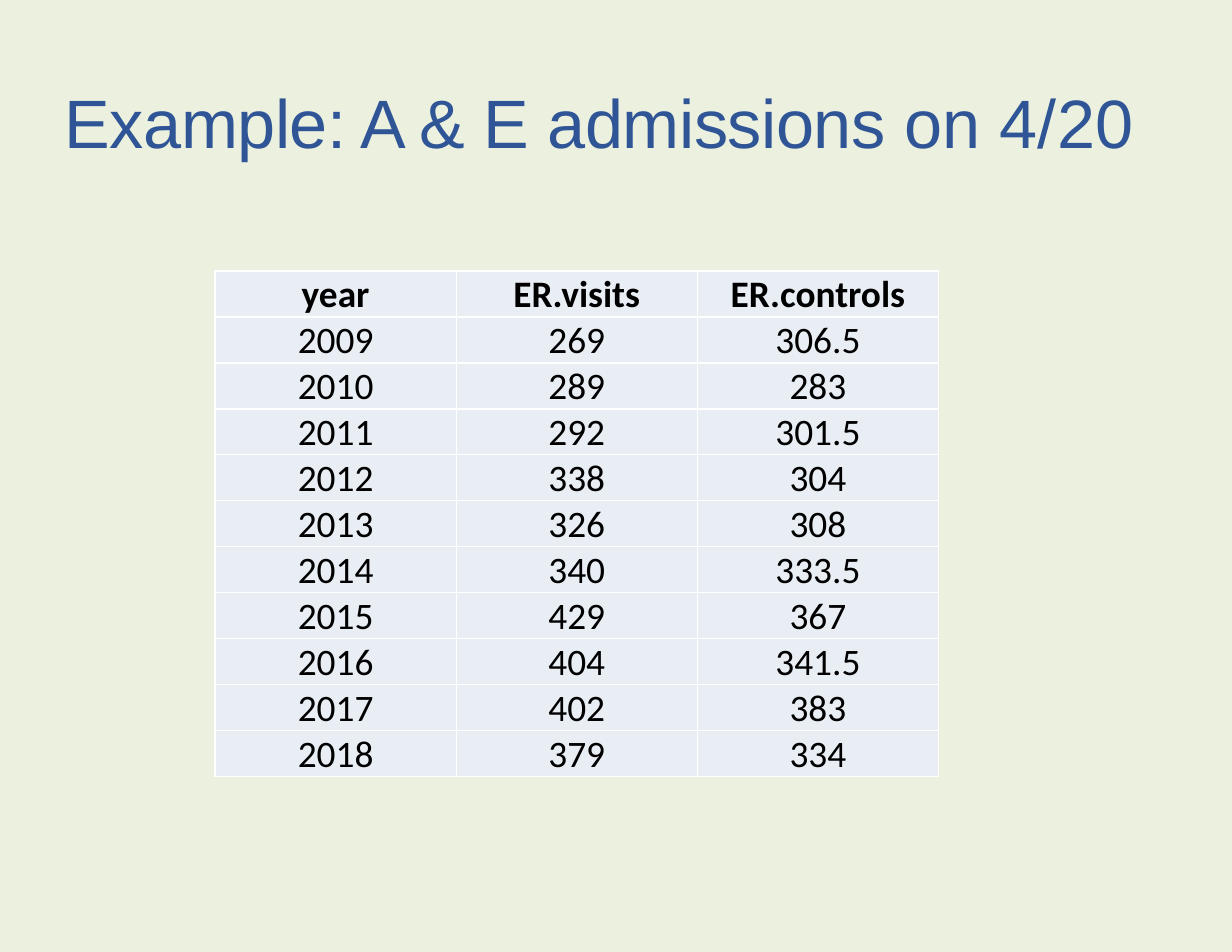
from lxml import etree
from pptx import Presentation
from pptx import util as u
from pptx.dml.color import RGBColor
from pptx.enum import text
from pptx.oxml import ns

BACKGROUND = RGBColor(0xEB, 0xF1, 0xDE)
TITLE_BLUE = RGBColor(0x2F, 0x55, 0x97)
CELL_FILL = RGBColor(0xE9, 0xED, 0xF4)
BLACK = RGBColor(0, 0, 0)
WHITE = RGBColor(0xFF, 0xFF, 0xFF)

TITLE_PARTS = [
    ("Example: A & E ", -0.4),
    ("admissions ", -0.3),
    ("on ", -0.1),
    ("4/20", 0.3),
]
ADMISSIONS = [
    ("year", "ER.visits", "ER.controls"),
    (2009, 269, 306.5),
    (2010, 289, 283),
    (2011, 292, 301.5),
    (2012, 338, 304),
    (2013, 326, 308),
    (2014, 340, 333.5),
    (2015, 429, 367),
    (2016, 404, 341.5),
    (2017, 402, 383),
    (2018, 379, 334),
]


def format_font(font, name, size, color, bold=False):
    font.name = name
    font.size = u.Pt(size)
    font.color.rgb = color
    font.bold = bold


def add_title(slide, parts):
    shape = slide.shapes.add_textbox(
        u.Inches(0.58), u.Inches(0.67), u.Inches(9.95), u.Inches(0.8)
    )
    frame = shape.text_frame
    frame.word_wrap = True
    frame.margin_left = frame.margin_right = frame.margin_bottom = 0
    frame.margin_top = u.Inches(0.05)
    paragraph = frame.paragraphs[0]
    for words, spacing in parts:
        run = paragraph.add_run()
        run.text = words
        format_font(run.font, "Arial", 44, TITLE_BLUE)
        run._r.get_or_add_rPr().set("spc", str(round(spacing * 100)))


def add_borders(cell, color, width):
    properties = cell._tc.get_or_add_tcPr()
    for side in ("lnL", "lnR", "lnT", "lnB"):
        line = etree.SubElement(properties, ns.qn(f"a:{side}"), w=str(u.Pt(width)))
        fill = etree.SubElement(line, ns.qn("a:solidFill"))
        etree.SubElement(fill, ns.qn("a:srgbClr"), val=str(color))


def fill_cell(cell, value, bold):
    add_borders(cell, WHITE, 1)
    cell.fill.solid()
    cell.fill.fore_color.rgb = CELL_FILL
    cell.margin_left = cell.margin_right = cell.margin_top = u.Inches(0.01)
    cell.margin_bottom = 0
    cell.vertical_anchor = text.MSO_ANCHOR.MIDDLE
    paragraph = cell.text_frame.paragraphs[0]
    paragraph.text = str(value)
    paragraph.alignment = text.PP_ALIGN.CENTER
    format_font(paragraph.runs[0].font, "Calibri", 24, BLACK, bold)


def add_admissions_table(slide, rows):
    table = slide.shapes.add_table(
        len(rows), len(rows[0]),
        u.Inches(1.92), u.Inches(2.42), u.Inches(6.46), u.Inches(4.48),
    ).table
    for row_index, row in enumerate(rows):
        for column_index, value in enumerate(row):
            fill_cell(table.cell(row_index, column_index), value, row_index == 0)


def main():
    presentation = Presentation()
    presentation.slide_width = u.Inches(11)
    presentation.slide_height = u.Inches(8.5)
    slide = presentation.slides.add_slide(presentation.slide_layouts[6])
    slide.background.fill.solid()
    slide.background.fill.fore_color.rgb = BACKGROUND
    add_title(slide, TITLE_PARTS)
    add_admissions_table(slide, ADMISSIONS)
    presentation.save("out.pptx")


if __name__ == "__main__":
    main()
